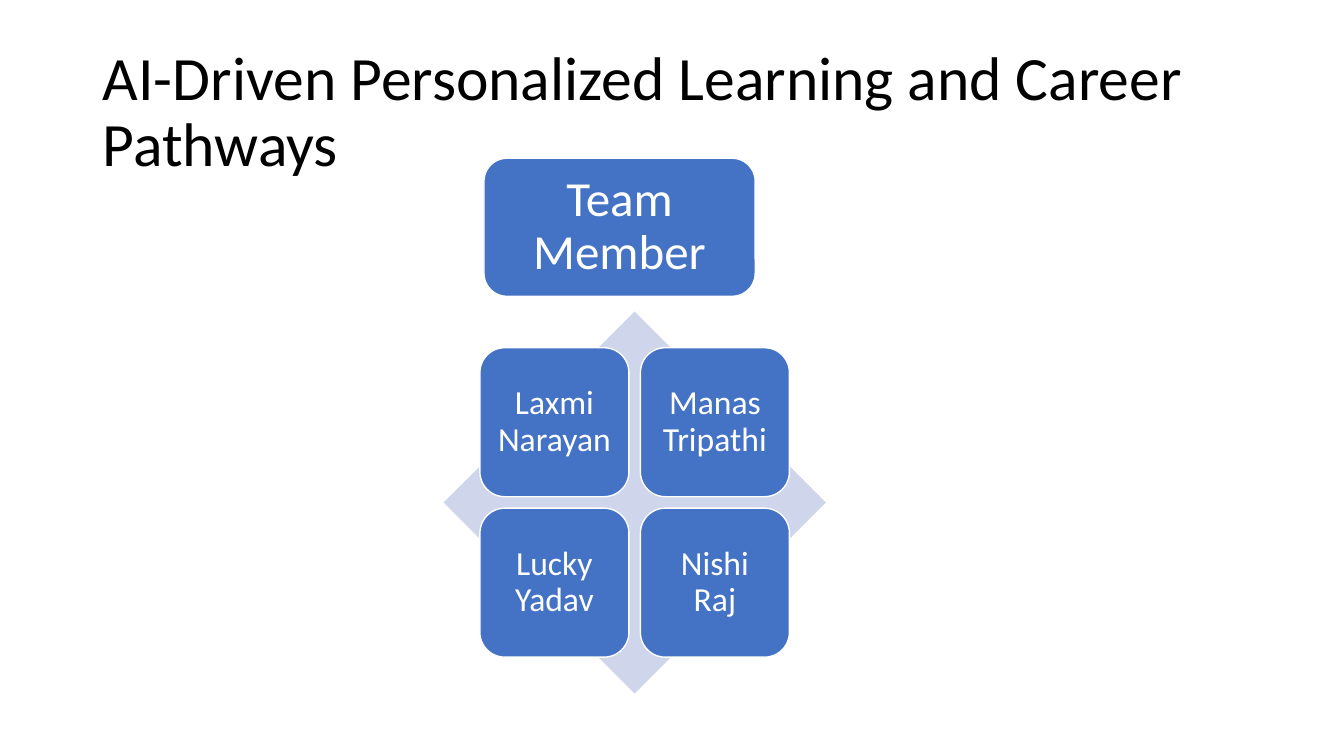
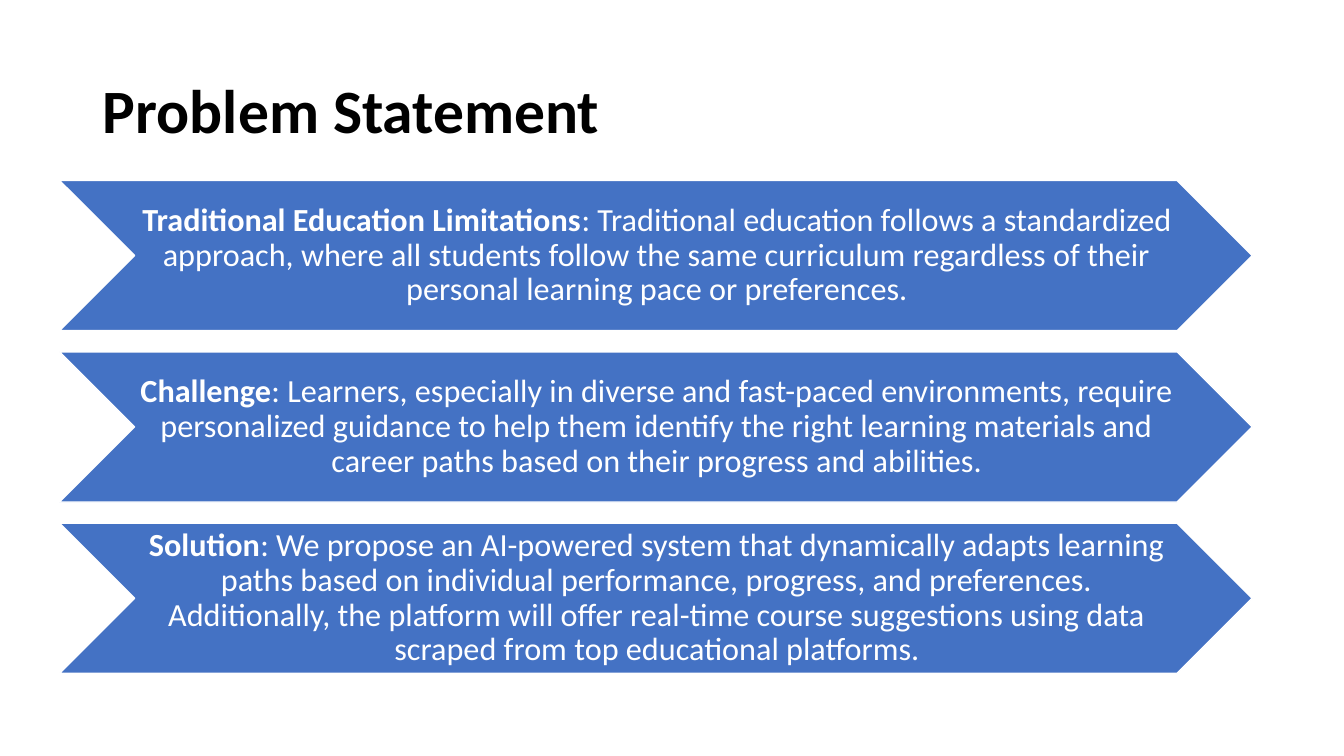
import pptx
import pptx.util
import pptx.dml.color
import pptx.enum.shapes
import pptx.enum.text
from dataclasses import dataclass

Inches = pptx.util.Inches
SHAPE = pptx.enum.shapes.MSO_SHAPE
ALIGN = pptx.enum.text.PP_ALIGN


@dataclass(frozen=True)
class Theme:
    font: str = "Calibri"
    black: str = "000000"
    white: str = "FFFFFF"
    blue: str = "4472C4"
    pale: str = "CFD5EA"
    title_size: int = 44
    heading_size: int = 35
    member_size: int = 24
    statement_size: int = 23
    line_spacing: float = 0.9


THEME = Theme()
SLIDE_W, SLIDE_H = 13.33, 7.5
TITLE_BOX = (0.92, 0.4, 11.5, 1.45)

MEMBERS = ["Laxmi Narayan", "Manas Tripathi", "Lucky Yadav", "Nishi Raj"]
STATEMENTS = [
    ("Traditional Education Limitations",
     ": Traditional education follows a standardized approach, where all "
     "students follow the same curriculum regardless of their personal "
     "learning pace or preferences."),
    ("Challenge",
     ": Learners, especially in diverse and fast-paced environments, require "
     "personalized guidance to help them identify the right learning "
     "materials and career paths based on their progress and abilities."),
    ("Solution",
     ": We propose an AI-powered system that dynamically adapts learning "
     "paths based on individual performance, progress, and preferences. "
     "Additionally, the platform will offer real-time course suggestions "
     "using data scraped from top educational platforms."),
]


def rgb(value):
    return pptx.dml.color.RGBColor.from_string(value)


def set_attrs(target, values):
    for name, value in values.items():
        setattr(target, name, value)


def write_text(tf, runs, size, color, align, insets):
    """Fill a text frame with one paragraph of (text, bold) runs."""
    left, top, right, bottom = map(Inches, insets)
    set_attrs(tf, {
        "word_wrap": True,
        "auto_size": pptx.enum.text.MSO_AUTO_SIZE.NONE,
        "vertical_anchor": pptx.enum.text.MSO_ANCHOR.MIDDLE,
        "margin_left": left, "margin_top": top,
        "margin_right": right, "margin_bottom": bottom,
    })
    p = tf.paragraphs[0]
    set_attrs(p, {"alignment": align, "line_spacing": THEME.line_spacing})
    for text, bold in runs:
        r = p.add_run()
        r.text = text
        set_attrs(r.font, {"name": THEME.font, "size": pptx.util.Pt(size), "bold": bold})
        r.font.color.rgb = rgb(color)


def add_titled_slide(prs, title, bold=False):
    s = prs.slides.add_slide(prs.slide_layouts[5])
    sp = s.shapes.title
    set_attrs(sp, dict(zip(("left", "top", "width", "height"), map(Inches, TITLE_BOX))))
    write_text(sp.text_frame, [(title, bold)], THEME.title_size, THEME.black,
               ALIGN.LEFT, (0.1, 0.05, 0.1, 0.05))
    return s


def add_block(s, kind, box, fill):
    sp = s.shapes.add_shape(kind, *map(Inches, box))
    sp.shadow.inherit = False
    sp.fill.solid()
    sp.fill.fore_color.rgb = rgb(fill)
    sp.line.fill.background()
    return sp


def add_label(s, kind, box, runs, size, insets):
    """Add a blue block with a white outline and centred white text."""
    sp = add_block(s, kind, box, THEME.blue)
    sp.line.color.rgb = rgb(THEME.white)
    sp.line.width = pptx.util.Pt(1)
    write_text(sp.text_frame, runs, size, THEME.white, ALIGN.CENTER, insets)


def add_matrix(s, left, top, side, names):
    """Place four cards on a diamond, sized as shares of its side."""
    add_block(s, SHAPE.DIAMOND, (left, top, side, side), THEME.pale)
    card, margin, pitch = 0.39 * side, 0.095 * side, 0.42 * side
    for i, name in enumerate(names):
        row, col = divmod(i, 2)
        box = (left + margin + col * pitch, top + margin + row * pitch, card, card)
        add_label(s, SHAPE.ROUNDED_RECTANGLE, box, [(name, False)],
                  THEME.member_size, (0.1, 0.1, 0.1, 0.1))


def build_team(prs):
    s = add_titled_slide(prs, "AI-Driven Personalized Learning and Career Pathways")
    add_matrix(s, 4.4, 3.09, 3.79, MEMBERS)
    add_label(s, SHAPE.ROUNDED_RECTANGLE, (4.8, 1.57, 2.69, 1.37),
              [("Team Member", False)], THEME.heading_size, (0.15, 0.07, 0.15, 0.07))


def build_problem(prs):
    s = add_titled_slide(prs, "Problem Statement", bold=True)
    top, pitch = 1.79, 1.7
    for i, (term, detail) in enumerate(STATEMENTS):
        add_label(s, SHAPE.CHEVRON, (0.59, top + i * pitch, 11.83, 1.49),
                  [(term, True), (detail, False)], THEME.statement_size,
                  (0.03, 0.02, 0, 0.02))


def main():
    prs = pptx.Presentation()
    prs.slide_width, prs.slide_height = Inches(SLIDE_W), Inches(SLIDE_H)
    build_team(prs)
    build_problem(prs)
    prs.save("out.pptx")


if __name__ == "__main__":
    main()
